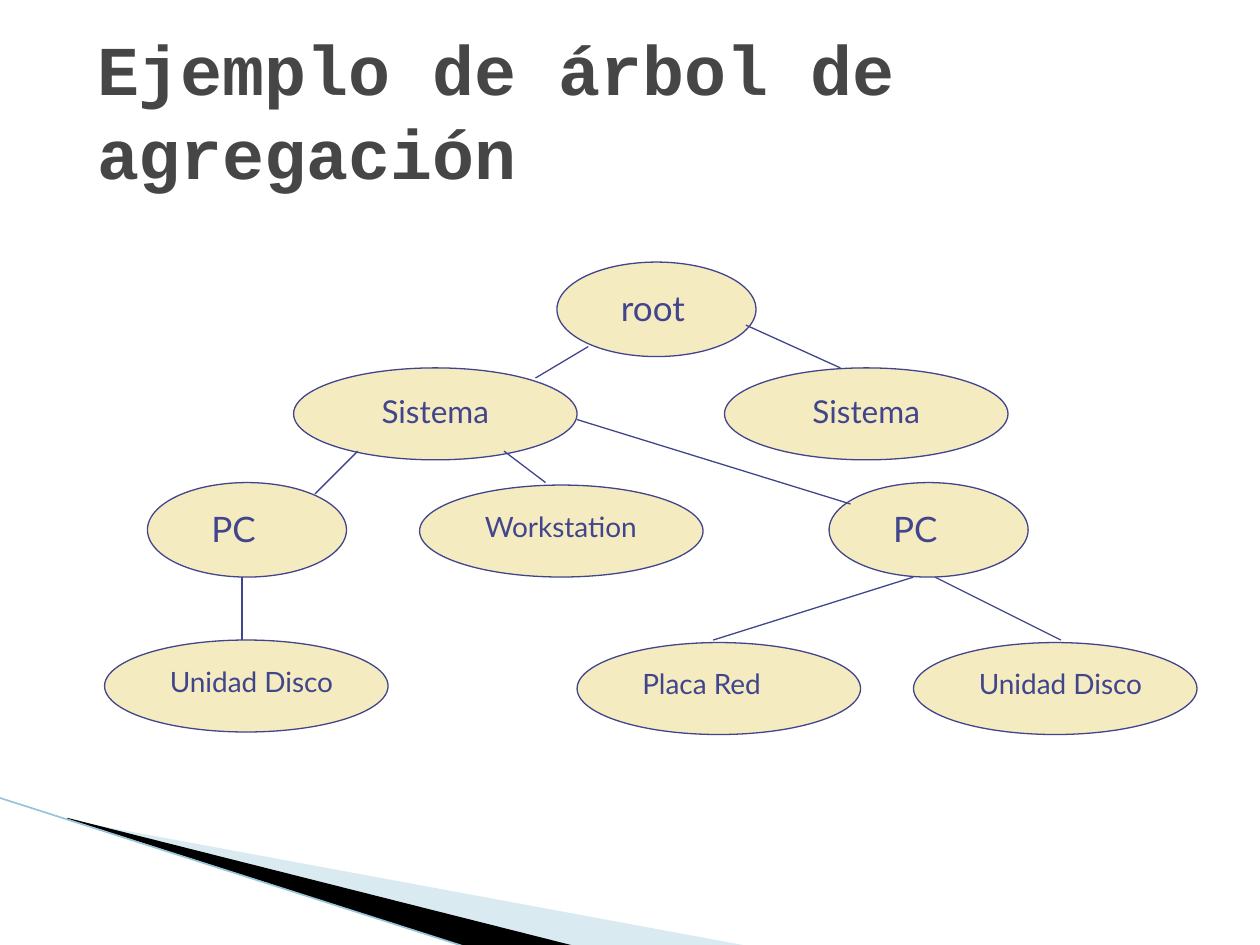
from pptx import Presentation
from pptx.dml.color import RGBColor
from pptx.enum.shapes import MSO_CONNECTOR, MSO_SHAPE
from pptx.enum.text import MSO_ANCHOR, MSO_AUTO_SIZE, PP_ALIGN
from pptx.oxml.ns import qn
from pptx.util import Inches, Pt
from lxml.etree import SubElement

TITLE = "Ejemplo de árbol de agregación"
INK, SAND = "40458C", "ECD882"
SMALL, LARGE = (1.58, 0.75), (2.25, 0.73)

NODES = [
    ("root", 4.42, 2.08, SMALL, 20, (0.41, 0.75, 0.77)),
    ("Sistema", 2.33, 2.92, LARGE, 18, (0.6, 1.06, 0.7)),
    ("Sistema", 5.75, 2.92, LARGE, 18, (0.6, 1.06, 0.7)),
    ("PC", 1.17, 3.83, SMALL, 20, (0.41, 0.75, 0.43)),
    ("Workstation", 3.33, 3.85, LARGE, 16, (0.42, 1.5, 0.63)),
    ("PC", 6.58, 3.83, SMALL, 20, (0.41, 0.75, 0.43)),
    ("Placa Red", 4.58, 5.1, LARGE, 16, (0.42, 1.5, 0.37)),
    ("Unidad Disco", 7.25, 5.1, LARGE, 16, (0.42, 1.5, 0.63)),
    ("Unidad Disco", 0.83, 5.08, LARGE, 16, (0.42, 1.5, 0.63)),
]
BRANCHES = [
    ((4.67, 2.75), (4.25, 3)),
    ((5.92, 2.58), (6.67, 2.92)),
    ((2.84, 3.58), (2.5, 3.92)),
    ((4, 3.58), (4.33, 3.83)),
    ((4.58, 3.33), (6.75, 4)),
    ((7.25, 4.58), (5.66, 5.08)),
    ((7.42, 4.58), (8.42, 5.08)),
    ((1.92, 4.58), (1.92, 5.08)),
]
WEDGES = [
    ([(0.55, 6.51), (5.95, 7.51), (4.56, 7.51), (0.55, 6.5)], "A0CBDC", 40),
    ([(0.53, 6.49), (4.57, 7.51), (3.72, 7.52), (0.54, 6.5)], "000000", 100),
]
EDGE = ((-0.01, 6.33), (3.71, 7.52))


def color(value):
    return RGBColor.from_string(value)


def inches(*values):
    return [Inches(value) for value in values]


def paint(shape, fill, opacity, line=None):
    shape.shadow.inherit = False
    shape.fill.solid()
    shape.fill.fore_color.rgb = color(fill)
    if opacity < 100:
        tint = shape.fill._xPr.find(qn("a:solidFill"))[0]
        SubElement(tint, qn("a:alpha")).set("val", str(opacity * 1000))
    if line:
        shape.line.color.rgb = color(line)
        shape.line.width = Pt(0.75)
    else:
        shape.line.fill.background()


def style(para, font, size, ink, bold=False):
    para.alignment = PP_ALIGN.LEFT
    for span in para.runs:
        span.font.name = font
        span.font.size = Pt(size)
        span.font.bold = bold
        span.font.color.rgb = color(ink)


def add_line(page, start, end, ink, width):
    line = page.shapes.add_connector(MSO_CONNECTOR.STRAIGHT, *inches(*start, *end))
    line.line.color.rgb = color(ink)
    line.line.width = Pt(width)
    SubElement(line._element.spPr, qn("a:effectLst"))


def add_wedge(page, points, fill, opacity):
    start, *rest = [inches(*point) for point in points]
    builder = page.shapes.build_freeform(*start)
    builder.add_line_segments(rest, close=True)
    paint(builder.convert_to_shape(), fill, opacity)


def add_node(page, label, left, top, size, points, label_box):
    offset, width, height = label_box
    group = page.shapes.add_group_shape()
    oval = group.shapes.add_shape(MSO_SHAPE.OVAL, *inches(left, top, *size))
    paint(oval, SAND, 50, INK)
    box = group.shapes.add_textbox(*inches(left + offset, top + 0.145, width, height))
    frame = box.text_frame
    frame.word_wrap = label != "Sistema"
    frame.auto_size = MSO_AUTO_SIZE.SHAPE_TO_FIT_TEXT
    frame.text = label
    para = frame.paragraphs[0]
    para.space_before = Pt(points * 0.625)
    style(para, "Lato", points, INK)


def add_title(page):
    title = page.shapes.title
    title.left, title.top, title.width, title.height = inches(0.67, 0.15, 8.5, 1.44)
    frame = title.text_frame
    frame.text = TITLE
    frame.word_wrap = True
    frame.auto_size = MSO_AUTO_SIZE.NONE
    frame.vertical_anchor = MSO_ANCHOR.MIDDLE
    style(frame.paragraphs[0], "Courier New", 40, "464646", True)


def main():
    deck = Presentation()
    deck.slide_width, deck.slide_height = inches(10, 7.5)
    page = deck.slides.add_slide(deck.slide_layouts[5])
    for wedge in WEDGES:
        add_wedge(page, *wedge)
    add_line(page, *EDGE, "97C5D8", 0.95)
    add_title(page)
    for node in NODES:
        add_node(page, *node)
    for start, end in BRANCHES:
        add_line(page, start, end, INK, 0.75)
    deck.save("out.pptx")


if __name__ == "__main__":
    main()
